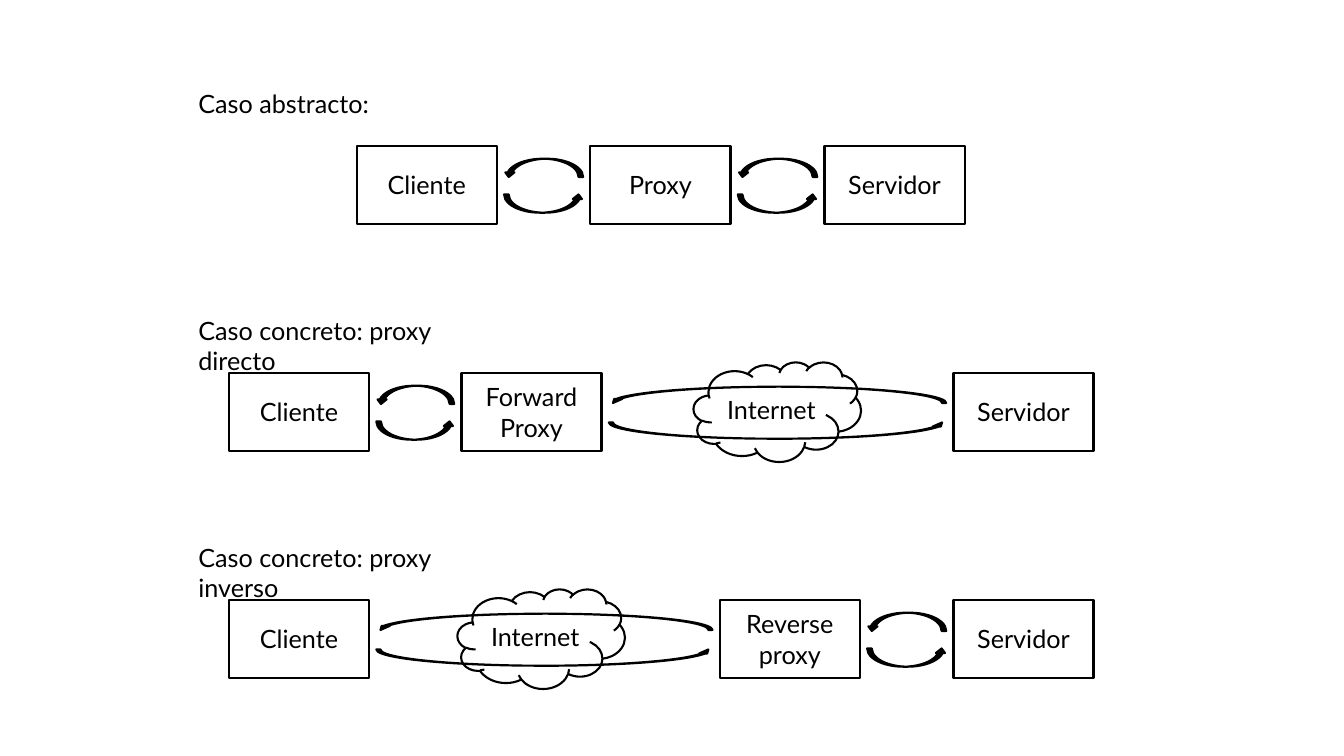
from pptx import Presentation
from pptx.dml.color import RGBColor
from pptx.enum.shapes import MSO_SHAPE
from pptx.enum.text import MSO_ANCHOR, PP_ALIGN
from pptx.util import Cm, Pt

RECTANGLE = MSO_SHAPE.RECTANGLE
CLOUD = MSO_SHAPE.CLOUD
CURVED_ARROW = MSO_SHAPE.CURVED_RIGHT_ARROW
MIDDLE = MSO_ANCHOR.MIDDLE
CENTER = PP_ALIGN.CENTER

# Content: one case per row; lengths in centimetres
CASES = [
    {"label": "Caso abstracto:",
     "boxes": [("Cliente", 8.99), ("Proxy", 14.88), ("Servidor", 20.78)],
     "clouds": []},
    {"label": "Caso concreto: proxy directo",
     "boxes": [("Cliente", 5.77), ("Forward Proxy", 11.63), ("Servidor", 24.03)],
     "clouds": [("Internet", 17.48)]},
    {"label": "Caso concreto: proxy inverso",
     "boxes": [("Cliente", 5.77), ("Reverse proxy", 18.14), ("Servidor", 24.03)],
     "clouds": [("Internet", 11.53)]},
]

THEME = {
    "font": "Lato",
    "size": Pt(18),
    "ink": RGBColor(0, 0, 0),
    "paper": RGBColor(255, 255, 255),
    "line": Pt(1.5),
}

# Layout
FIRST_TOP, ROW_STEP = 3.68, 5.72
BOX_WIDTH, BOX_HEIGHT = 3.53, 1.96
CLOUD_WIDTH, CLOUD_HEIGHT = 4.22, 2.51
LABEL_LEFT, LABEL_RISE, LABEL_WIDTH, LABEL_HEIGHT = 4.75, 1.58, 8.2, 1.02
ARROW_MARGIN, ARROW_SHIFT, ARROW_SPREAD = 0.37, 0.02, 0.45
SHORT_GAP, SHORT_THICKNESS, LONG_THICKNESS = 3, 0.46, 0.41

deck = Presentation()
deck.slide_width, deck.slide_height = Cm(33.87), Cm(19.05)
page = deck.slides.add_slide(deck.slide_layouts[6])


def write(frame, text):
    frame.word_wrap = True
    para = frame.paragraphs[0]
    para.text = text
    para.font.name = THEME["font"]
    para.font.size = THEME["size"]
    para.font.color.rgb = THEME["ink"]
    return para


def add_outlined(kind, left, middle, width, height, fill):
    shape = page.shapes.add_shape(
        kind, Cm(left), Cm(middle - height / 2), Cm(width), Cm(height))
    shape.shadow.inherit = False
    shape.fill.solid()
    shape.fill.fore_color.rgb = fill
    shape.line.color.rgb = THEME["ink"]
    shape.line.width = THEME["line"]
    return shape


def add_node(kind, text, left, middle, width, height):
    node = add_outlined(kind, left, middle, width, height, THEME["paper"])
    node.text_frame.vertical_anchor = MIDDLE
    write(node.text_frame, text).alignment = CENTER


def add_exchange(start, end, middle):
    """Request and response arrows filling the gap between two boxes."""
    gap = end - start
    thickness = SHORT_THICKNESS if gap < SHORT_GAP else LONG_THICKNESS
    left = (start + end - thickness) / 2
    for rotation, offset in ((90, -ARROW_SPREAD), (270, ARROW_SPREAD)):
        arrow = add_outlined(CURVED_ARROW, left, middle + ARROW_SHIFT + offset,
                             thickness, gap - ARROW_MARGIN, THEME["ink"])
        arrow.rotation = rotation


for row, case in enumerate(CASES):
    top = FIRST_TOP + row * ROW_STEP
    middle = top + BOX_HEIGHT / 2

    # Boxes and clouds
    for text, left in case["boxes"]:
        add_node(RECTANGLE, text, left, middle, BOX_WIDTH, BOX_HEIGHT)
    for text, left in case["clouds"]:
        add_node(CLOUD, text, left, middle, CLOUD_WIDTH, CLOUD_HEIGHT)

    # Arrows between neighbouring boxes
    for (_, left), (_, next_left) in zip(case["boxes"], case["boxes"][1:]):
        add_exchange(left + BOX_WIDTH, next_left, middle)

    # Case label
    label = page.shapes.add_textbox(Cm(LABEL_LEFT), Cm(top - LABEL_RISE),
                                    Cm(LABEL_WIDTH), Cm(LABEL_HEIGHT))
    write(label.text_frame, case["label"])

deck.save("out.pptx")
